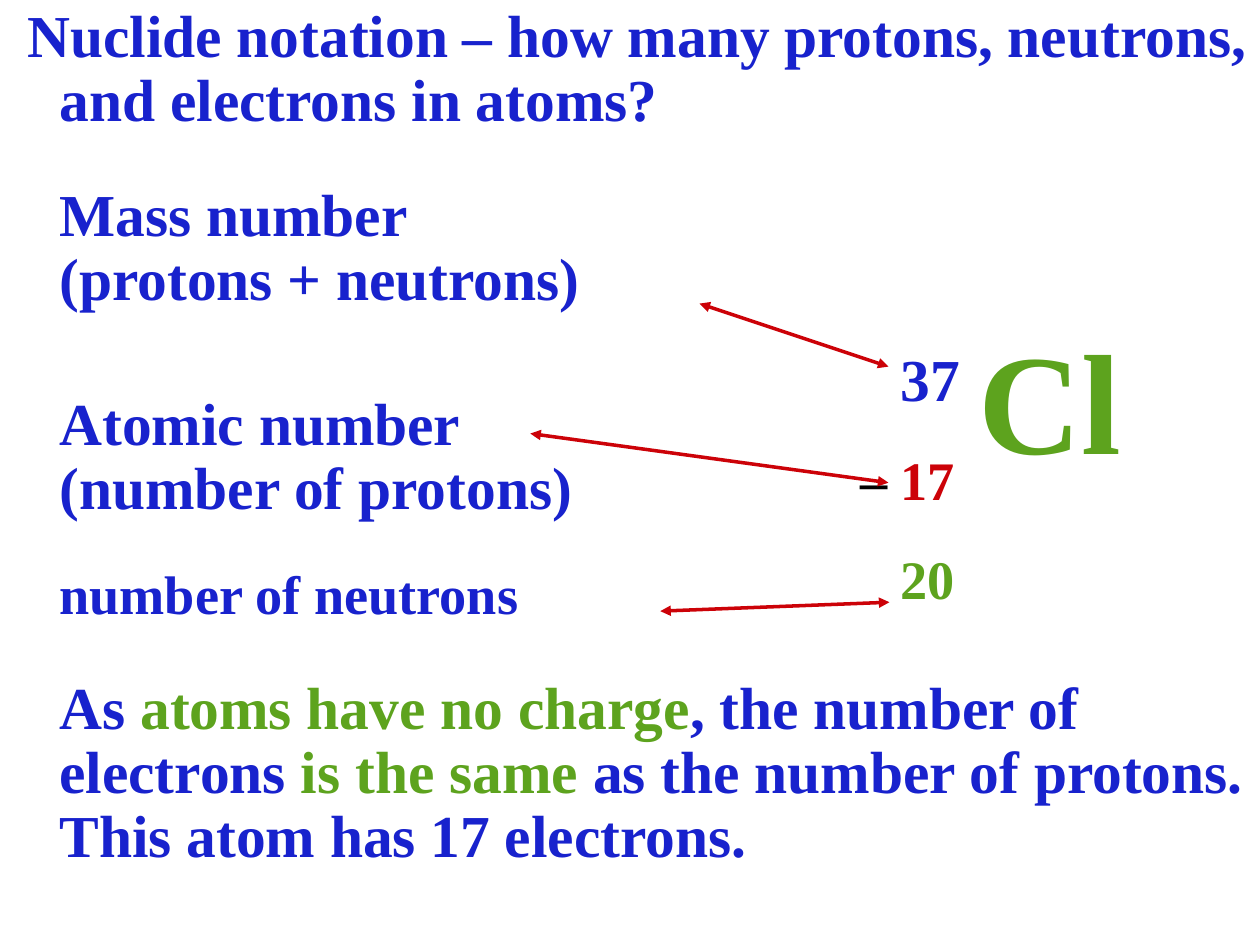
from lxml.etree import SubElement
from pptx import Presentation
from pptx.dml.color import RGBColor
from pptx.enum.shapes import MSO_CONNECTOR
from pptx.enum.text import MSO_ANCHOR, MSO_AUTO_SIZE, PP_ALIGN
from pptx.oxml.ns import qn
from pptx.util import Cm, Pt

COLORS = {"blue": "1822CD", "green": "5DA31E", "red": "CC0208", "black": "000000"}
FONT = "Times New Roman"
SLIDE_WIDTH, SLIDE_HEIGHT = 25.4, 19.05
TEXT_INDENT = 0.95
LABEL_WIDTH = 14.4


def write_text(frame, paragraphs, size=34, color="blue", spacing=0.9, indent=0, first=0):
    """Fill a frame; each paragraph is a string or a list of (text, color) runs."""
    frame.word_wrap = True
    frame.auto_size = MSO_AUTO_SIZE.NONE
    frame.vertical_anchor = MSO_ANCHOR.TOP
    for index, content in enumerate(paragraphs):
        paragraph = frame.add_paragraph() if index else frame.paragraphs[0]
        paragraph.alignment = PP_ALIGN.LEFT
        paragraph.line_spacing = spacing
        paragraph.space_before = Pt(0)
        properties = paragraph._p.get_or_add_pPr()
        properties.set("marL", str(Cm(indent)))
        properties.set("indent", str(Cm(first)))
        runs = [(content, color)] if isinstance(content, str) else content
        for text, run_color in runs:
            run = paragraph.add_run()
            run.text = text
            run.font.name = FONT
            run.font.size = Pt(size)
            run.font.bold = True
            run.font.color.rgb = RGBColor.from_string(COLORS[run_color])


def add_text(slide, box, paragraphs, **text_format):
    textbox = slide.shapes.add_textbox(*map(Cm, box))
    write_text(textbox.text_frame, paragraphs, **text_format)


def place_title(slide, box):
    title = slide.shapes.title
    title.left, title.top, title.width, title.height = map(Cm, box)
    question = "Nuclide notation – how many protons, neutrons, and electrons in atoms?"
    write_text(title.text_frame, [question], indent=TEXT_INDENT, first=-0.65)


def add_labels(slide, left, top):
    labels = [
        (0, 3.18, ["Mass number", "(protons + neutrons)"], {}),
        (4.21, 3.18, ["Atomic number", "(number of protons)"], {}),
        (7.82, 1.7, ["number of neutrons"], {"size": 31, "spacing": 0.8}),
    ]
    for offset, height, lines, text_format in labels:
        add_text(slide, (left, top + offset, LABEL_WIDTH, height), lines,
                 indent=TEXT_INDENT, **text_format)


def add_nuclide(slide, left, top):
    """Element symbol with its mass, atomic and neutron numbers."""
    number_left, atomic_top = 0.82, 2.57
    small = {"size": 31, "spacing": 0.8}
    parts = [
        ("37", number_left, 0.38, 2.59, 1.8, {}),
        ("Cl", 2.39, 0, 3.99, 3.81, {"size": 81.6, "color": "green"}),
        ("17", number_left, atomic_top, 2.11, 1.7, {"color": "red", **small}),
        ("–", 0, atomic_top, 1.07, 1.7, {"color": "black", **small}),
        ("20", number_left, 4.58, 2.11, 1.7, {"color": "green", **small}),
    ]
    for text, x, y, width, height, text_format in parts:
        add_text(slide, (left + x, top + y, width, height), [text], **text_format)


def add_double_arrow(slide, start, end):
    arrow = slide.shapes.add_connector(MSO_CONNECTOR.STRAIGHT, *map(Cm, start + end))
    arrow.line.color.rgb = RGBColor.from_string(COLORS["red"])
    arrow.line.width = Pt(2)
    line = arrow.line._get_or_add_ln()
    for end_tag in ("a:headEnd", "a:tailEnd"):
        SubElement(line, qn(end_tag), type="triangle")
    SubElement(arrow._element.spPr, qn("a:effectLst"))


def add_conclusion(slide, box):
    sentence = [
        ("As ", "blue"),
        ("atoms have no charge", "green"),
        (", the number of electrons ", "blue"),
        ("is the same", "green"),
        (" as the number of protons. This atom has 17 electrons.", "blue"),
    ]
    add_text(slide, box, [sentence], indent=TEXT_INDENT)


def main():
    presentation = Presentation()
    presentation.slide_width = Cm(SLIDE_WIDTH)
    presentation.slide_height = Cm(SLIDE_HEIGHT)
    slide = presentation.slides.add_slide(
        presentation.slide_layouts.get_by_name("Title Only"))

    place_title(slide, (0, 0, SLIDE_WIDTH, 3.38))
    add_labels(slide, 0, 3.61)
    add_nuclide(slide, 17.09, 6.55)
    for start, end in [
        ((14.1, 6.12), (17.91, 7.39)),
        ((10.69, 8.74), (17.91, 9.73)),
        ((13.31, 12.32), (17.93, 12.14)),
    ]:
        add_double_arrow(slide, start, end)
    add_conclusion(slide, (0, 13.54, SLIDE_WIDTH, 4.88))
    presentation.save("out.pptx")


if __name__ == "__main__":
    main()
